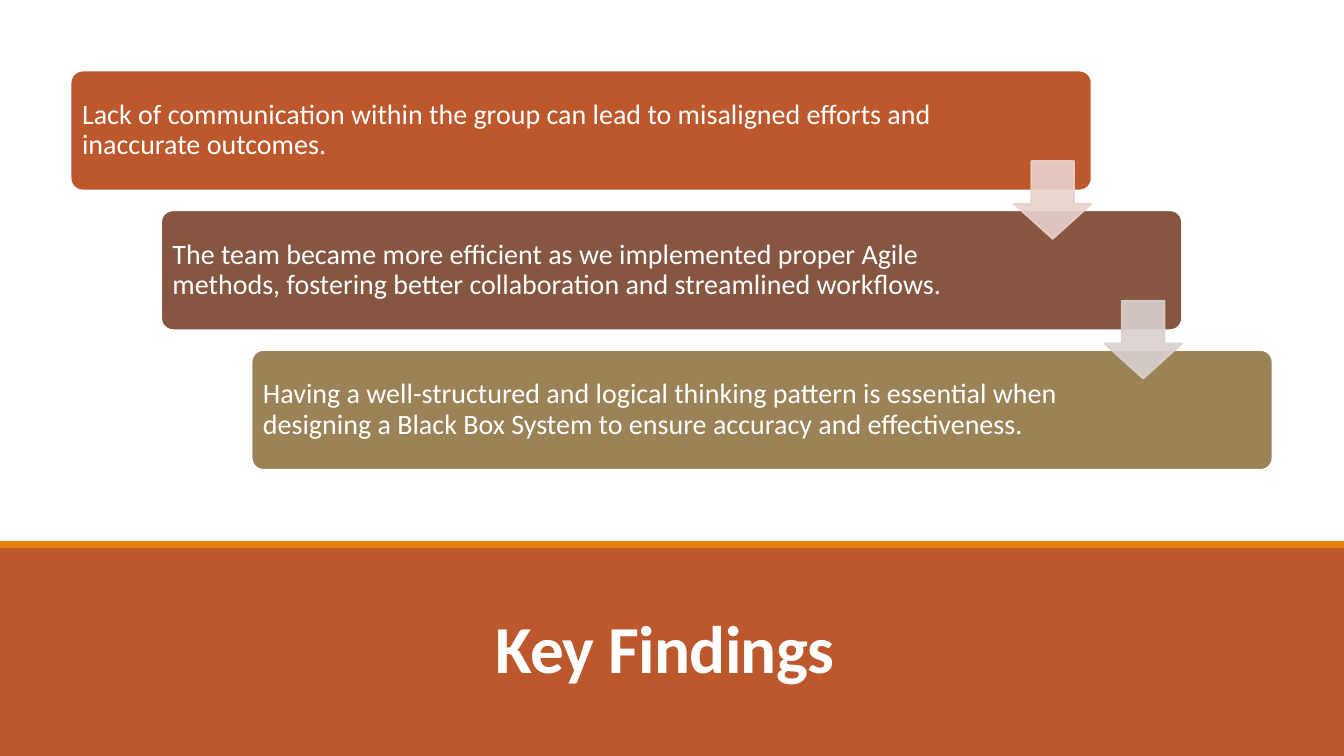
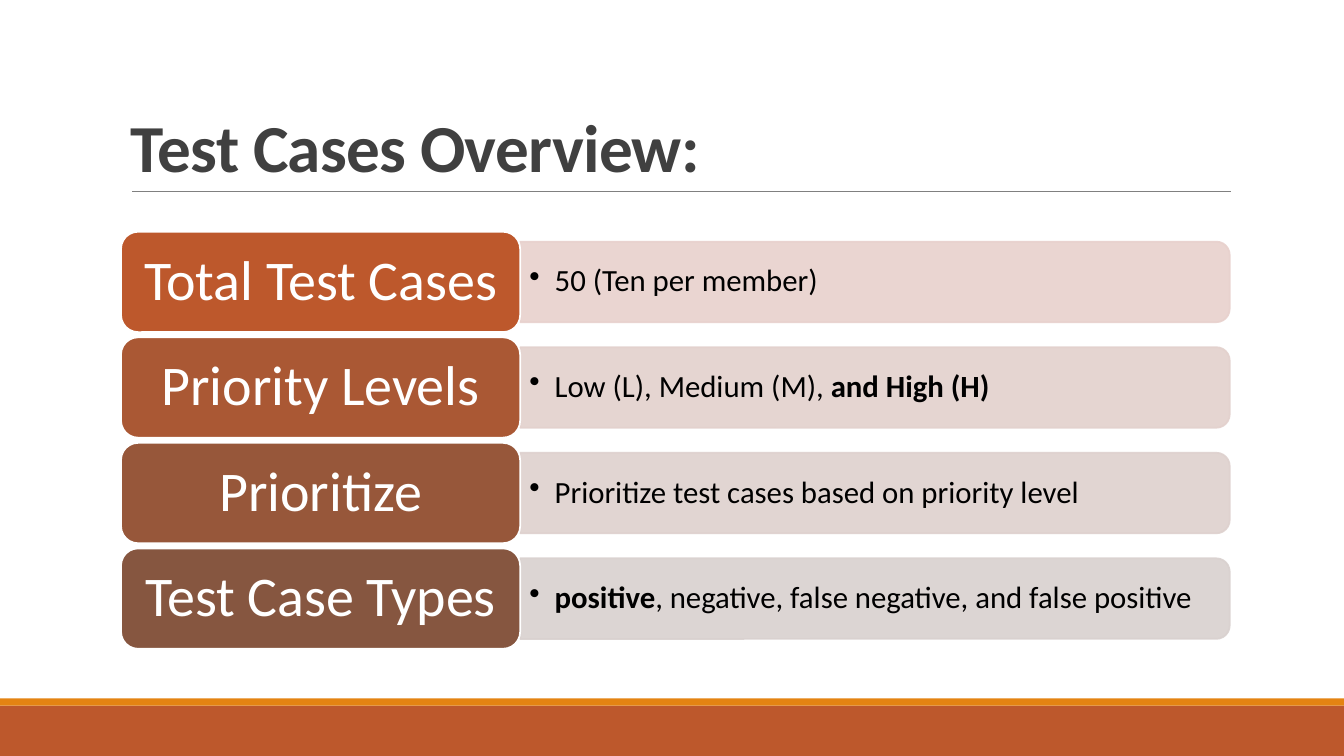
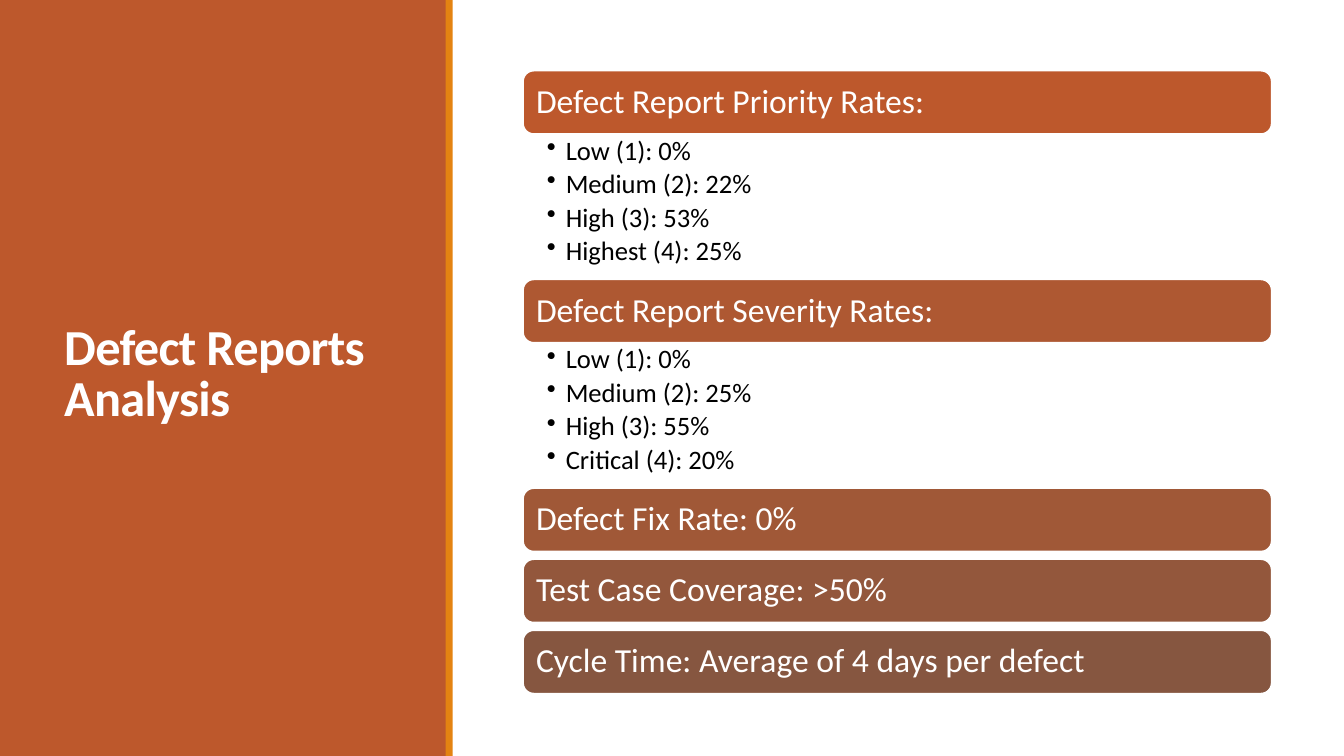
from dataclasses import dataclass, replace

from lxml.etree import SubElement
from pptx import Presentation
from pptx.dml.color import RGBColor
from pptx.enum.shapes import MSO_CONNECTOR, MSO_SHAPE
from pptx.enum.text import MSO_ANCHOR, PP_ALIGN
from pptx.oxml.ns import qn
from pptx.util import Cm, Pt

WIDTH, HEIGHT = 33.87, 19.05
STRIPE = 0.18


@dataclass(frozen=True)
class Theme:
    font: str = "Calibri"
    white: str = "FFFFFF"
    black: str = "000000"
    heading: str = "404040"
    rule: str = "808080"
    panel: str = "BD582C"
    stripe: str = "E48312"
    steps: tuple = ("BD582C", "865640", "9B8357")
    arrows: tuple = ("E8D1CD", "D9D1CF")
    labels: tuple = ("BD582C", "AA5834", "97573A", "865640")
    bars: tuple = ("E8D1CD", "E3D1CD", "DED1CE", "D9D1CF")
    sections: tuple = ("BD582C", "AE5832", "A05837", "93573C", "865640")
    title_size: float = 48
    side_title_size: float = 36
    label_size: float = 40
    section_size: float = 24
    bar_size: float = 22
    step_size: float = 20
    list_size: float = 19


@dataclass(frozen=True)
class TextStyle:
    """Paragraph look; insets are left, top, right, bottom in cm."""
    size: float
    color: str
    bold: bool = False
    align: PP_ALIGN = PP_ALIGN.LEFT
    anchor: MSO_ANCHOR = MSO_ANCHOR.MIDDLE
    spacing: float = 0.9
    insets: tuple = (0.25, 0.13, 0.25, 0.13)
    bullet_indent: float = 0
    after: float = 0
    tracking: int = 0


THEME = Theme()
TITLE = TextStyle(THEME.title_size, THEME.heading, bold=True, spacing=0.85,
                  anchor=MSO_ANCHOR.BOTTOM, tracking=-50)
STEP = TextStyle(THEME.step_size, THEME.white, insets=(0.2, 0.2, 0.2, 0.2))
LABEL = TextStyle(THEME.label_size, THEME.white, align=PP_ALIGN.CENTER,
                  insets=(0.43, 0.2, 0.43, 0.2))
BAR = TextStyle(THEME.bar_size, THEME.black, insets=(0.23, 0.13, 0.23, 0.13),
                bullet_indent=0.64)
SECTION = TextStyle(THEME.section_size, THEME.white, insets=(0.25, 0.25, 0.25, 0.25))
LIST = TextStyle(THEME.list_size, THEME.black, anchor=MSO_ANCHOR.TOP,
                 insets=(0.6, 0.08, 0.48, 0.08), bullet_indent=0.48, after=3.4)


class DeckBuilder:
    def __init__(self, theme):
        self.theme = theme
        self.deck = Presentation()
        self.deck.slide_width, self.deck.slide_height = Cm(WIDTH), Cm(HEIGHT)
        self.page = None

    def new_page(self):
        self.page = self.deck.slides.add_slide(self.deck.slide_layouts[6])

    def shape(self, kind, left, top, width, height, fill, line=None,
              adjustments=(), opacity=None):
        shape = self.page.shapes.add_shape(kind, Cm(left), Cm(top), Cm(width), Cm(height))
        shape.shadow.inherit = False
        for index, value in enumerate(adjustments):
            shape.adjustments[index] = value
        shape.fill.solid()
        shape.fill.fore_color.rgb = RGBColor.from_string(fill)
        if line:
            shape.line.color.rgb = RGBColor.from_string(line)
            shape.line.width = Pt(1.25)
        else:
            shape.line.fill.background()
        if opacity is not None:
            for color in shape._element.spPr.iter(qn("a:srgbClr")):
                SubElement(color, qn("a:alpha"), val=str(opacity * 1000))
        return shape

    def rounded_box(self, left, top, width, height, fill, text, style, corner):
        box = self.shape(MSO_SHAPE.ROUNDED_RECTANGLE, left, top, width, height, fill,
                         self.theme.white, (corner,))
        self.set_text(box, [text], style)

    def text_box(self, left, top, width, height, paragraphs, style):
        box = self.page.shapes.add_textbox(Cm(left), Cm(top), Cm(width), Cm(height))
        self.set_text(box, paragraphs, style)

    def set_text(self, box, paragraphs, style):
        """Each paragraph is a string or a list of (text, bold) spans."""
        frame = box.text_frame
        frame.word_wrap = True
        frame.vertical_anchor = style.anchor
        (frame.margin_left, frame.margin_top,
         frame.margin_right, frame.margin_bottom) = map(Cm, style.insets)
        for index, content in enumerate(paragraphs):
            para = frame.add_paragraph() if index else frame.paragraphs[0]
            para.alignment = style.align
            para.line_spacing = style.spacing
            para.space_after = Pt(style.after)
            properties = para._p.get_or_add_pPr()
            if style.bullet_indent:
                indent = Cm(style.bullet_indent)
                properties.set("marL", str(indent))
                properties.set("indent", str(-indent))
                SubElement(properties, qn("a:buChar"), char="•")
            font = para.font
            font.name, font.size = self.theme.font, Pt(style.size)
            font.color.rgb = RGBColor.from_string(style.color)
            if style.tracking:
                properties.find(qn("a:defRPr")).set("spc", str(style.tracking))
            if isinstance(content, str):
                font.bold = style.bold
                para.add_run().text = content
            else:
                for text, bold in content:
                    span = para.add_run()
                    span.text = text
                    span.font.bold = bold

    def rule(self, left, right, y):
        line = self.page.shapes.add_connector(
            MSO_CONNECTOR.STRAIGHT, Cm(left), Cm(y), Cm(right), Cm(y))
        line.line.color.rgb = RGBColor.from_string(self.theme.rule)
        line.line.width = Pt(0.5)
        SubElement(line._element.spPr, qn("a:effectLst"))

    def bottom_band(self, panel_top, stripe_top):
        self.shape(MSO_SHAPE.RECTANGLE, 0, panel_top, WIDTH, HEIGHT - panel_top,
                   self.theme.panel)
        self.shape(MSO_SHAPE.RECTANGLE, 0, stripe_top, WIDTH, STRIPE, self.theme.stripe)

    def side_band(self, panel_width, stripe_left):
        self.shape(MSO_SHAPE.RECTANGLE, 0, 0, panel_width, HEIGHT, self.theme.panel)
        self.shape(MSO_SHAPE.RECTANGLE, stripe_left, 0, STRIPE, HEIGHT, self.theme.stripe)

    def bar(self, left, top, width, height, fill):
        """Bar with only its right corners rounded: a top-rounded shape turned by 90°."""
        shape = self.shape(MSO_SHAPE.ROUND_2_SAME_RECTANGLE,
                           left + (width - height) / 2, top + (height - width) / 2,
                           height, width, fill, fill, opacity=90)
        shape.rotation = 90


def add_key_findings(builder):
    builder.new_page()
    builder.bottom_band(13.77, 13.63)
    builder.text_box(2.97, 14.58, 27.94, 2.87, ["Key Findings "],
                     replace(TITLE, color=THEME.white, align=PP_ALIGN.CENTER))
    findings = [
        ("Lack of communication within the group can lead to misaligned efforts and "
         "inaccurate outcomes.", 3.26),
        ("The team became more efficient as we implemented proper Agile methods, "
         "fostering better collaboration and streamlined workflows.", 4.43),
        ("Having a well-structured and logical thinking pattern is essential when "
         "designing a Black Box System to ensure accuracy and effectiveness.", 4.43),
    ]
    start, step_x, step_y, width, arrow = 1.78, 2.28, 3.52, 25.73, 1.96
    for index, (text, right_inset) in enumerate(findings):
        style = replace(STEP, insets=(0.2, 0.2, right_inset, 0.2))
        builder.rounded_box(start + index * step_x, start + index * step_y, width, 3.02,
                            THEME.steps[index], text, style, 0.1)
    for index, color in enumerate(THEME.arrows):
        builder.shape(MSO_SHAPE.DOWN_ARROW, start + index * step_x + width - arrow,
                      start + index * step_y + 2.28, arrow, arrow, color, color,
                      (0.55, 0.45), opacity=90)


def add_test_cases(builder):
    builder.new_page()
    builder.bottom_band(17.78, 17.6)
    builder.rule(3.33, 31.01, 4.82)
    builder.text_box(3.05, 0.79, 27.94, 4.04, ["Test Cases Overview:"], TITLE)
    rows = [
        ("Total Test Cases", "50 (Ten per member)"),
        ("Priority Levels", [("Low (L), Medium (M), ", False), ("and High (H)", True)]),
        ("Prioritize", "Prioritize test cases based on priority level"),
        ("Test Case Types", [("positive", True),
                             (", negative, false negative, and false positive", False)]),
    ]
    left, width, height, bar_height, text_height = 3.05, 10.06, 2.53, 2.03, 1.83
    for index, (label, detail) in enumerate(rows):
        top = 5.84 + index * 2.66
        builder.bar(left + width, top + (height - bar_height) / 2, 17.88, bar_height,
                    THEME.bars[index])
        builder.text_box(left + width, top + (height - text_height) / 2, 17.78,
                         text_height, [detail], BAR)
        builder.rounded_box(left, top, width, height, THEME.labels[index], label,
                            LABEL, 0.17)


def add_defect_reports(builder):
    builder.new_page()
    builder.side_band(11.25, 11.23)
    builder.text_box(1.37, 1.45, 8.56, 16.03, ["Defect Reports Analysis"],
                     replace(TITLE, size=THEME.side_title_size, color=THEME.white,
                             anchor=MSO_ANCHOR.MIDDLE))
    sections = [
        ("Defect Report Priority Rates:",
         ["Low (1): 0%", "Medium (2): 22%", "High (3): 53%", "Highest (4): 25%"]),
        ("Defect Report Severity Rates:",
         ["Low (1): 0%", "Medium (2): 25%", "High (3): 55%", "Critical (4): 20%"]),
        ("Defect Fix Rate: 0%", []),
        ("Test Case Coverage: >50%", []),
        ("Cycle Time: Average of 4 days per defect", []),
    ]
    left, top, width, height, list_height, gap = 13.18, 1.78, 18.87, 1.6, 3.66, 0.19
    for (heading, rates), color in zip(sections, THEME.sections):
        builder.rounded_box(left, top, width, height, color, heading, SECTION, 0.17)
        top += height
        if rates:
            builder.text_box(left, top, width, list_height, rates, LIST)
        top += list_height if rates else gap


def main():
    builder = DeckBuilder(THEME)
    add_key_findings(builder)
    add_test_cases(builder)
    add_defect_reports(builder)
    builder.deck.save("out.pptx")


if __name__ == "__main__":
    main()
